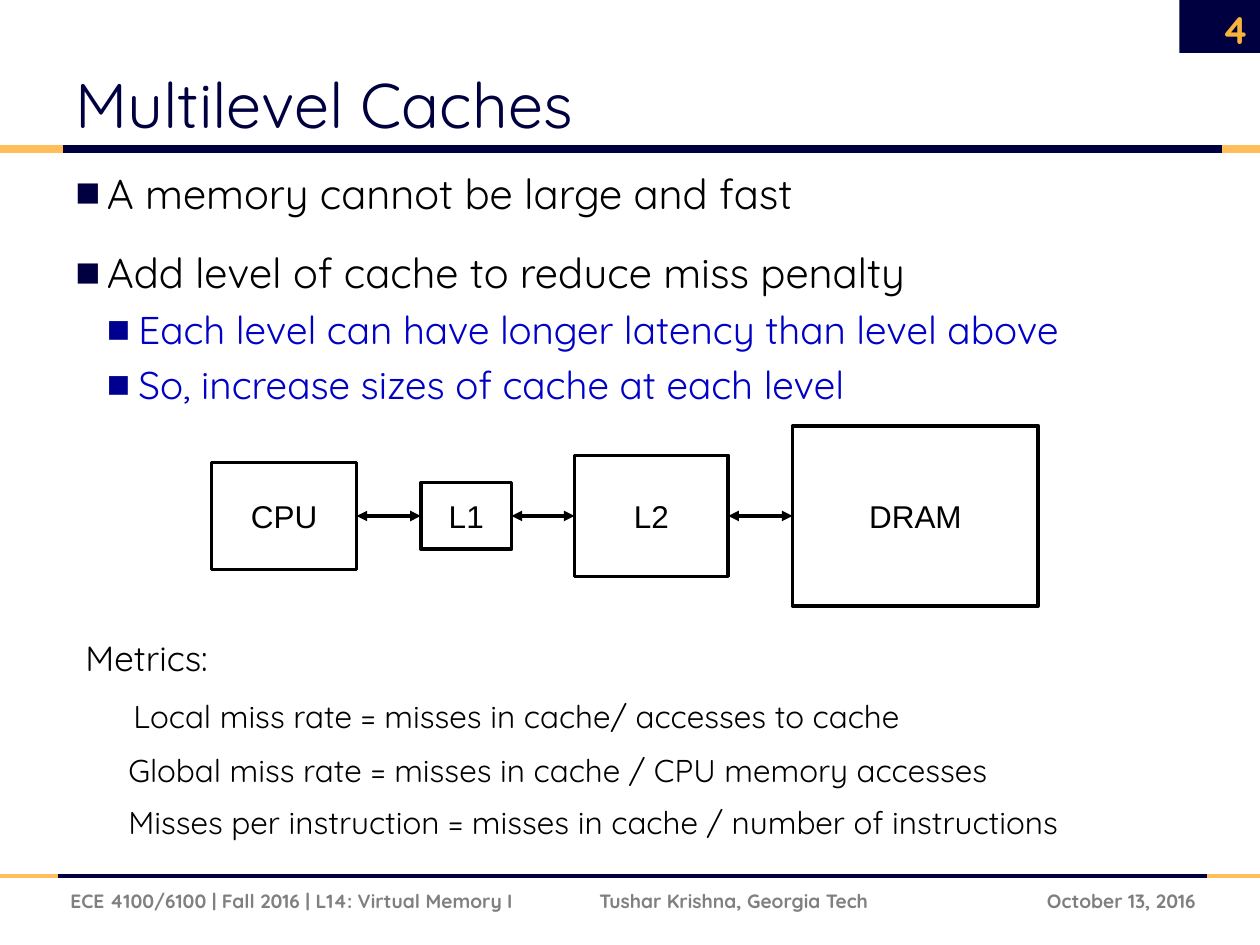
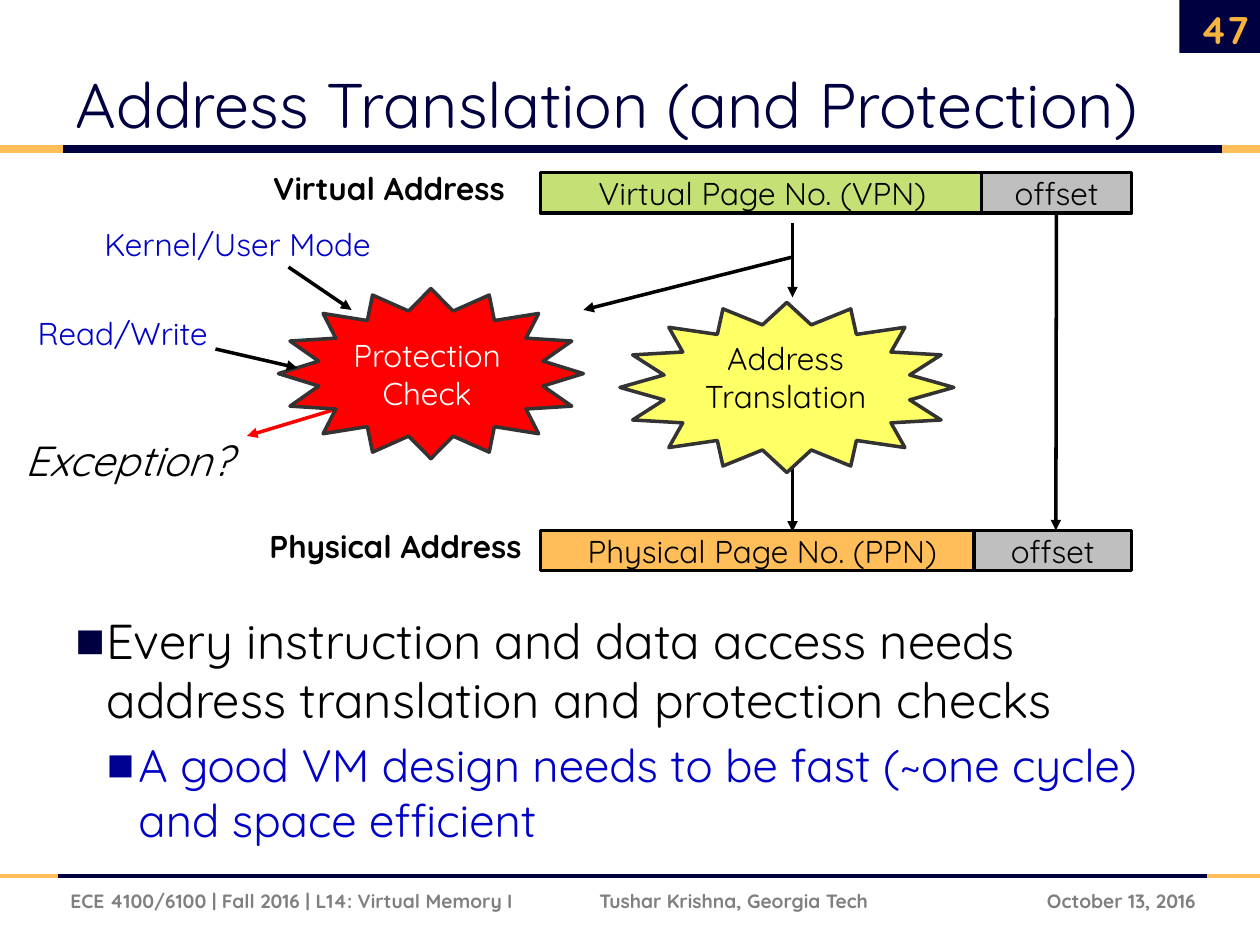
import pptx
import pptx.dml.color
import pptx.enum.shapes
import pptx.enum.text
import pptx.oxml.ns
import pptx.util
from lxml import etree

Inches = pptx.util.Inches
Shape = pptx.enum.shapes.MSO_SHAPE
Align = pptx.enum.text.PP_ALIGN
Anchor = pptx.enum.text.MSO_ANCHOR

COLORS = {
    "navy": "000041",
    "gold": "FFBE5A",
    "page": "F8B33C",
    "date": "7F7F7F",
    "footer": "808080",
    "black": "000000",
    "white": "FFFFFF",
    "blue": "0000C7",
    "sub_bullet": "000090",
    "green": "C5E176",
    "gray": "BFBFBF",
    "yellow": "FFFF66",
    "red": "FF0000",
    "outline": "333333",
}
BODY_FONT = "Quicksand"


def rgb(name):
    """Return the named palette colour."""
    return pptx.dml.color.RGBColor.from_string(COLORS[name])


def add_element(parent, tag, **attributes):
    """Append a drawing element with its attributes."""
    return etree.SubElement(parent, pptx.oxml.ns.qn(tag), attributes)


def within(box, left, top, width, height):
    """Turn a place inside a box into a place on the slide."""
    return box[0] + left, box[1] + top, width, height


def add_bullet(paragraph, color, indent):
    """Give a paragraph a square bullet with a hanging indent."""
    properties = paragraph._p.get_or_add_pPr()
    properties.set("marL", str(Inches(indent)))
    properties.set("indent", str(-Inches(0.25)))
    bullet_color = add_element(properties, "a:buClr")
    add_element(bullet_color, "a:srgbClr", val=COLORS[color])
    add_element(properties, "a:buFont", typeface="Arial")
    add_element(properties, "a:buChar", char="■")


def write_paragraph(paragraph, text, size=18, color="black", font=BODY_FONT, bold=False,
                    italic=False, align=Align.LEFT, before=0, indent=0, bullet=None):
    """Fill one paragraph with formatted text."""
    paragraph.alignment = align
    if before:
        paragraph.space_before = pptx.util.Pt(before)
    if bullet:
        add_bullet(paragraph, bullet, indent)
    elif indent:
        paragraph._p.get_or_add_pPr().set("marL", str(Inches(indent)))
    run = paragraph.add_run()
    run.text = text
    run.font.name = font
    run.font.size = pptx.util.Pt(size)
    run.font.bold = bold
    run.font.italic = italic
    run.font.color.rgb = rgb(color)


def write_text(shape, lines, anchor=Anchor.TOP, **text_format):
    """Write lines, each a string or a pair of string and own format, into a shape."""
    frame = shape.text_frame
    frame.word_wrap = True
    frame.vertical_anchor = anchor
    for number, line in enumerate(lines):
        text, own_format = (line, {}) if isinstance(line, str) else line
        paragraph = frame.add_paragraph() if number else frame.paragraphs[0]
        write_paragraph(paragraph, text, **{**text_format, **own_format})


def add_text(slide, box, *lines, **text_format):
    """Add a text box."""
    write_text(slide.shapes.add_textbox(*map(Inches, box)), lines, **text_format)


def add_figure(slide, kind, box, fill, line="black"):
    """Add a filled preset shape, outlined when a line colour is given."""
    shape = slide.shapes.add_shape(kind, *map(Inches, box))
    shape.shadow.inherit = False
    shape.fill.solid()
    shape.fill.fore_color.rgb = rgb(fill)
    if line:
        shape.line.color.rgb = rgb(line)
        shape.line.width = pptx.util.Pt(2)
    else:
        shape.line.fill.background()
    return shape


def add_labelled_rectangle(slide, box, text, fill, font=BODY_FONT):
    """Add a black-edged rectangle with a centred label."""
    rectangle = add_figure(slide, Shape.RECTANGLE, box, fill)
    write_text(rectangle, [text], anchor=Anchor.MIDDLE, align=Align.CENTER, font=font)
    return rectangle


def add_line(slide, start, end, color="black", width=2, arrows=()):
    """Add a straight line with arrowheads at the listed ends."""
    line = slide.shapes.add_connector(pptx.enum.shapes.MSO_CONNECTOR.STRAIGHT,
                                      *map(Inches, (*start, *end)))
    line.line.color.rgb = rgb(color)
    line.line.width = pptx.util.Pt(width)
    outline = line.line._get_or_add_ln()
    for end_name in arrows:
        add_element(outline, f"a:{end_name}", type="triangle")
    add_element(line._element.spPr, "a:effectLst")
    return line


def add_band(slide, top, stops, width):
    """Add a full-width rule that is navy between two stops and gold outside."""
    edges = (0, *stops, 10)
    for left, right, color in zip(edges, edges[1:], ("gold", "navy", "gold")):
        add_line(slide, (left, top), (right, top), color, width)


def add_footer(slide, box):
    """Add the course, author and date line."""
    style = {"size": 11, "bold": True, "anchor": Anchor.MIDDLE}
    add_text(slide, within(box, 0, 0, 4.2, box[3]),
             "ECE 4100/6100 | Fall 2016 | L14: Virtual Memory I", color="footer", **style)
    add_text(slide, within(box, 4.2, 0, 3, box[3]),
             "Tushar Krishna, Georgia Tech", color="footer", **style)
    add_text(slide, within(box, box[2] - 1.92, 0, 1.92, box[3]),
             "October 13, 2016", color="date", align=Align.RIGHT, **style)


def start_slide(presentation, title, page):
    """Add a slide with the shared bands, title, page number and footer."""
    slide = presentation.slides.add_slide(presentation.slide_layouts[6])
    add_figure(slide, Shape.RECTANGLE, (9.36, 0, 0.68, 0.42), "navy", line=None)
    add_band(slide, 6.95, (0.46, 9.58), 2.25)
    add_band(slide, 1.18, (0.5, 9.7), 4.5)
    add_text(slide, (0.5, 0.17, 9.08, 1), title, size=36, color="navy", anchor=Anchor.BOTTOM)
    add_text(slide, (9.34, 0.03, 0.67, 0.4), page, size=22, color="page", bold=True,
             align=Align.RIGHT, anchor=Anchor.MIDDLE)
    add_footer(slide, (0.46, 6.95, 9.13, 0.4))
    return slide


def add_bullets(slide, box, items, sizes):
    """Add a two-level bulleted list from pairs of level and text."""
    levels = (
        {"size": sizes[0], "indent": 0.25, "bullet": "navy", "before": 17},
        {"size": sizes[1], "indent": 0.5, "bullet": "sub_bullet", "before": 5, "color": "blue"},
    )
    lines = [(text, {**levels[level], **({} if number else {"before": 0})})
             for number, (level, text) in enumerate(items)]
    add_text(slide, box, *lines)


def add_memory_chain(slide, box):
    """Draw the memory hierarchy, centred on one axis and joined by arrows."""
    units = (("CPU", 0, 1.15, 0.85), ("L1", 1.66, 0.72, 0.53),
             ("L2", 2.88, 1.22, 0.96), ("DRAM", 4.61, 1.95, 1.43))
    rectangles = [
        add_labelled_rectangle(slide, within(box, left, (box[3] - height) / 2, width, height),
                               name, "white", font="Arial")
        for name, left, width, height in units
    ]
    for near, far in zip(rectangles, rectangles[1:]):
        arrow = add_line(slide, (0, 0), (1, 1), arrows=("headEnd", "tailEnd"))
        arrow.begin_connect(near, 3)
        arrow.end_connect(far, 1)


def add_metrics(slide, box):
    """List the miss rate definitions."""
    add_text(
        slide, box,
        ("Metrics:", {"size": 20}),
        ("Local miss rate = misses in cache/ accesses to cache", {"indent": 0.38, "before": 11}),
        ("Global miss rate = misses in cache / CPU memory accesses",
         {"indent": 0.34, "before": 9}),
        ("Misses per instruction = misses in cache / number of instructions",
         {"indent": 0.34, "before": 8}),
    )


def add_address(slide, box, name, name_left, page_label, page_fill, offset_left):
    """Draw an address row and return its offset field."""
    add_text(slide, within(box, name_left, -0.08, 2.3, 0.4), name, bold=True)
    add_labelled_rectangle(slide, within(box, 4.29, 0, 3.52, box[3]), page_label, page_fill)
    return add_labelled_rectangle(
        slide, within(box, offset_left, 0, 8.98 - offset_left, box[3]), "offset", "gray")


def add_star(slide, box, fill):
    """Draw a sixteen-point star."""
    star = add_figure(slide, Shape.STAR_16_POINT, box, fill, line="outline")
    star.adjustments[0] = 0.375


def add_translation_diagram(slide, box):
    """Draw the path from virtual to physical address with its protection check."""
    def arrow(start, end, color="black"):
        """Add an arrow between two points of the diagram."""
        points = [(box[0] + x, box[1] + y) for x, y in (start, end)]
        return add_line(slide, *points, color=color, arrows=("tailEnd",))

    arrow((2.79, 2.01), (1.96, 2.26), "red")
    arrow((6.29, 2.42), (6.29, 3.02))
    virtual_offset = add_address(slide, within(box, 0, 0.17, 10, 0.32), "Virtual Address",
                                 2.07, "Virtual Page No. (VPN)", "green", 7.79)
    add_address(slide, within(box, 0, 3.01, 10, 0.32), "Physical Address",
                2.04, "Physical Page No. (PPN)", "gold", 7.73)
    arrow((8.38, 0.5), (8.38, 3.01)).begin_connect(virtual_offset, 2)
    arrow((6.29, 0.57), (6.29, 1.16))
    add_star(slide, within(box, 4.92, 1.2, 2.65, 1.35), "yellow")
    add_star(slide, within(box, 2.21, 1.09, 2.42, 1.35), "red")
    add_text(slide, within(box, 5.44, 1.44, 1.59, 0.72), "Address", "Translation",
             align=Align.CENTER)
    add_text(slide, within(box, 2.61, 1.42, 1.56, 0.71), "Protection", "Check",
             color="white", align=Align.CENTER)
    arrow((6.29, 0.84), (4.63, 1.26))
    arrow((1.71, 1.57), (2.36, 1.72))
    arrow((2.29, 0.92), (2.79, 1.26))
    add_text(slide, within(box, 0.1, 2.2, 2.03, 0.5), "Exception?", size=24, italic=True)
    add_text(slide, within(box, 0.73, 0.54, 2.42, 0.4), "Kernel/User Mode", color="blue")
    add_text(slide, within(box, 0.2, 1.24, 1.91, 0.4), "Read/Write", color="blue")


def build_caches_slide(presentation):
    """Build the slide on multilevel caches."""
    slide = start_slide(presentation, "Multilevel Caches", "4")
    add_bullets(slide, (0.5, 1.28, 9.08, 2.16), (
        (0, "A memory cannot be large and fast"),
        (0, "Add level of cache to reduce miss penalty"),
        (1, "Each level can have longer latency than level above"),
        (1, "So, increase sizes of cache at each level"),
    ), (23.8, 22.1))
    add_memory_chain(slide, (1.68, 3.38, 6.56, 1.43))
    add_metrics(slide, (0.58, 5, 9.12, 1.85))


def build_translation_slide(presentation):
    """Build the slide on address translation."""
    slide = start_slide(presentation, "Address Translation (and Protection)", "47")
    add_bullets(slide, (0.5, 4.8, 9.08, 2.06), (
        (0, "Every instruction and data access needs address translation and protection checks"),
        (1, "A good VM design needs to be fast (~one cycle) and space efficient"),
    ), (28, 26))
    add_translation_diagram(slide, (0, 1.2, 10, 3.4))


def main():
    """Build and save the presentation."""
    presentation = pptx.Presentation()
    presentation.slide_width = Inches(10)
    presentation.slide_height = Inches(7.5)
    build_caches_slide(presentation)
    build_translation_slide(presentation)
    presentation.save("out.pptx")


if __name__ == "__main__":
    main()
